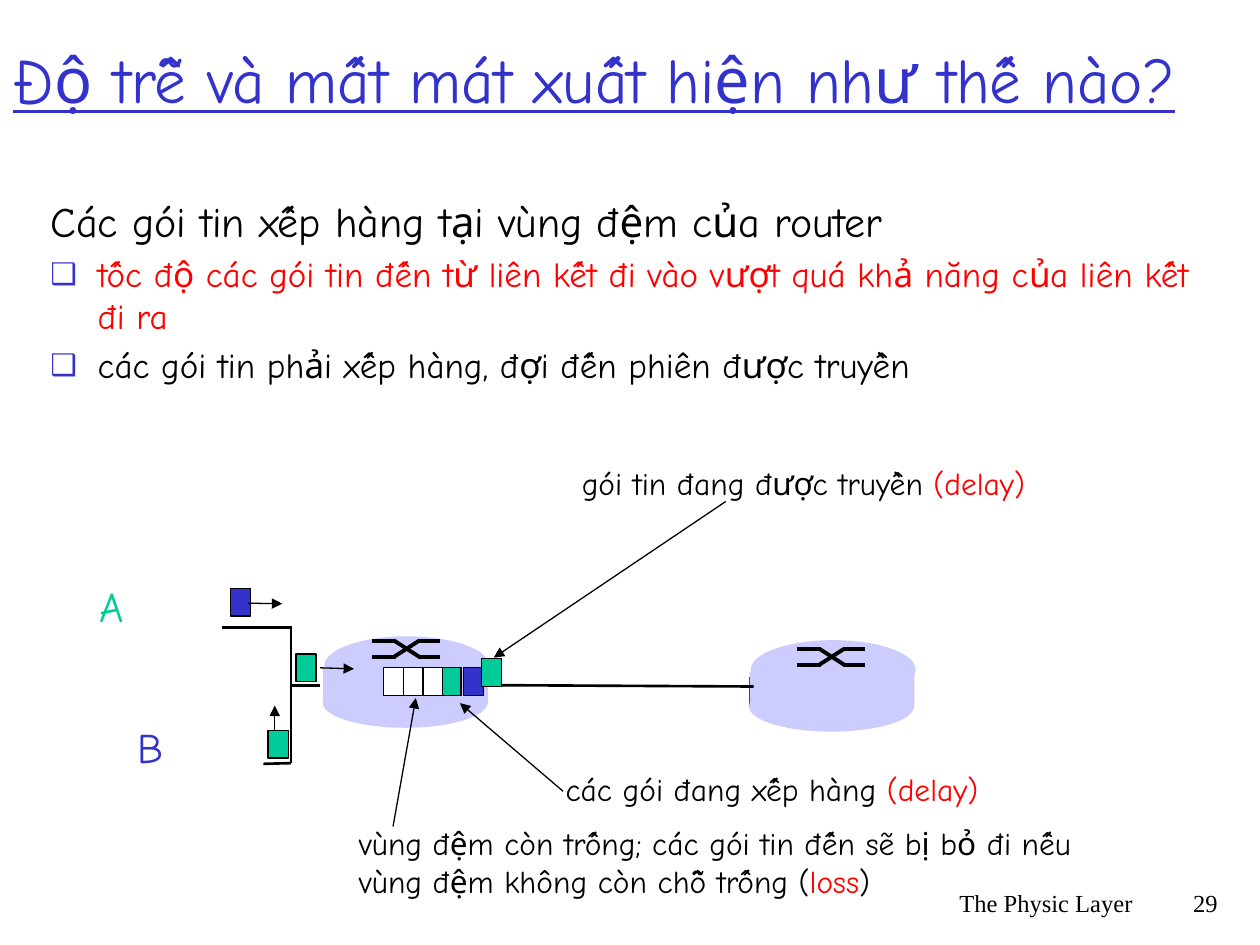
"""Build a slide on how packet delay and loss arise in router queues."""
from typing import NamedTuple

from lxml import etree
from pptx import Presentation
from pptx import util as u
from pptx.dml.color import RGBColor
from pptx.enum import shapes, text
from pptx.oxml import ns

BLUE, GREEN, RED = "3333CC", "00CC99", "FF0000"
BLACK, WHITE, LILAC = "000000", "FFFFFF", "CCCCFF"
COMIC, TIMES = "Comic Neue", "Times New Roman"
RECT, OVAL = shapes.MSO_SHAPE.RECTANGLE, shapes.MSO_SHAPE.OVAL
LEFT, RIGHT = text.PP_ALIGN.LEFT, text.PP_ALIGN.RIGHT


class Box(NamedTuple):
    x: float
    y: float
    w: float
    h: float


class Line(NamedTuple):
    x1: float
    y1: float
    x2: float
    y2: float


class Packet(NamedTuple):
    x: float
    y: float
    color: str


class Router(NamedTuple):
    x: float
    y: float
    cross_x: float
    cross_y: float


class Label(NamedTuple):
    box: Box
    runs: list
    size: float = 18
    font: str = COMIC
    align: int = LEFT
    wrap: bool = False


class Item(NamedTuple):
    words: str
    color: str
    size: float
    bullet: bool


ROUTERS = [Router(184.3, 363.6, 212.4, 366.2), Router(428, 365.8, 455.3, 370.8)]
LINKS = [
    Line(126.7, 358.6, 166.3, 358.6),
    Line(150.5, 436.5, 166.3, 436.1),
    Line(277.9, 391.5, 430.6, 392.3),
    Line(166.3, 357.8, 166.3, 436.3),
    Line(167, 391.7, 182.9, 391.7),
]
QUEUE_Y = 381.6
PACKETS = [
    Packet(252, QUEUE_Y, GREEN),
    Packet(264.7, QUEUE_Y, BLUE),
    Packet(169.2, 373.7, GREEN),
    Packet(275, 376.4, GREEN),
    Packet(131.8, 336.2, BLUE),
    Packet(153.2, 417.4, GREEN),
    *(Packet(x, QUEUE_Y, WHITE) for x in (241.4, 230.2, 219)),
]
ARROWS = [
    Line(182.9, 381.6, 202.3, 382.2),
    Line(157, 417.6, 157, 403.2),
    Line(141.8, 344.7, 161.3, 345),
    Line(414.7, 286.6, 282.2, 375.8),
    Line(321.8, 452.2, 262.8, 401.8),
    Line(224.6, 472.3, 237.6, 398.9),
]
LABELS = [
    Label(Box(426.2, 504, 228.2, 36), [("The Physic Layer", BLACK)], 14, TIMES, RIGHT, True),
    Label(Box(653.8, 504, 49, 36), [("29", BLACK)], 14, TIMES, RIGHT, True),
    Label(Box(49.7, 328.3, 31.7, 36), [("A", GREEN)], 24),
    Label(Box(71.3, 409, 29.5, 36), [("B", BLUE)], 24),
    Label(Box(325.4, 261.4, 281.5, 28.8),
          [("gói tin đang được truyền ", BLACK), ("(delay)", RED)]),
    Label(Box(316.1, 436.3, 258.5, 28.8),
          [("các gói đang xếp hàng", BLACK), (" (delay)", RED)]),
    Label(Box(198, 467.3, 439.2, 50.4),
          [("vùng đệm còn trống; các gói tin đến sẽ bị bỏ đi nếu \n"
            "vùng đệm không còn chỗ trống (", BLACK), ("loss", RED), (")", BLACK)]),
]
ITEMS = [
    Item("Các gói tin xếp hàng tại vùng đệm của router", BLACK, 24, False),
    Item("tốc độ các gói tin đến từ liên kết đi vào vượt quá khả năng của liên kết đi ra",
         RED, 20, True),
    Item("các gói tin phải xếp hàng, đợi đến phiên được truyền", BLACK, 20, True),
]


def rgb(value: str) -> RGBColor:
    return RGBColor.from_string(value)


def pts(values) -> list:
    return [u.Pt(v) for v in values]


def write(p, words: str, *, size: float, color: str, font: str = COMIC,
          underline: bool = False, align: int = LEFT) -> None:
    p.alignment = align
    for i, part in enumerate(words.split("\n")):
        if i:
            p.add_line_break()
        r = p.add_run()
        r.text = part
        r.font.size, r.font.name = u.Pt(size), font
        r.font.color.rgb = rgb(color)
        r.font.underline = underline


def add_bullet(p, bullet: bool) -> None:
    pPr = p._p.get_or_add_pPr()
    pPr.set("marL", str(u.Pt(27)))
    pPr.set("indent", str(-u.Pt(27)))
    if not bullet:
        etree.SubElement(pPr, ns.qn("a:buNone"))
        return
    clr = etree.SubElement(pPr, ns.qn("a:buClr"))
    etree.SubElement(clr, ns.qn("a:srgbClr"), val=BLUE)
    etree.SubElement(pPr, ns.qn("a:buSzPct"), val="85000")
    etree.SubElement(pPr, ns.qn("a:buChar"), char="❑")


def add_block(s, kind: int, box: Box, fill: str, outline: bool = False) -> None:
    sp = s.shapes.add_shape(kind, *pts(box))
    sp.shadow.inherit = False
    sp.fill.solid()
    sp.fill.fore_color.rgb = rgb(fill)
    if outline:
        sp.line.color.rgb, sp.line.width = rgb(BLACK), u.Pt(0.75)
    else:
        sp.line.fill.background()


def add_line(s, line: Line, width: float, arrow: bool = False) -> None:
    sp = s.shapes.add_connector(shapes.MSO_CONNECTOR.STRAIGHT, *pts(line))
    sp.line.color.rgb, sp.line.width = rgb(BLACK), u.Pt(width)
    if arrow:
        etree.SubElement(sp.line._get_or_add_ln(), ns.qn("a:tailEnd"), type="triangle")
    etree.SubElement(sp._element.spPr, ns.qn("a:effectLst"))


def add_router(s, router: Router) -> None:
    x, y, cx, cy = router
    add_block(s, OVAL, Box(x, y + 23.5, 94.3, 28.8), LILAC)
    add_block(s, RECT, Box(x + 0.3, y + 18, 94.3, 20.9), LILAC)
    add_block(s, OVAL, Box(x + 1, y, 94.3, 33.8), LILAC)
    for start, end in ((0, 9), (9, 0)):
        add_line(s, Line(cx, cy + start, cx + 14, cy + start), 2.25)
        add_line(s, Line(cx + 13, cy + start, cx + 27, cy + end), 2.25)
        add_line(s, Line(cx + 26.6, cy + end, cx + 39, cy + end), 2.25)


def add_label(s, label: Label) -> None:
    tf = s.shapes.add_textbox(*pts(label.box)).text_frame
    tf.word_wrap = label.wrap
    if not label.wrap:
        tf.auto_size = text.MSO_AUTO_SIZE.SHAPE_TO_FIT_TEXT
    for words, color in label.runs:
        write(tf.paragraphs[0], words, size=label.size, color=color,
              font=label.font, align=label.align)


def fill_placeholders(s) -> None:
    title, body = s.placeholders
    for sp, box in ((title, Box(0, 0, 720, 90)), (body, Box(21.6, 108, 665.3, 166.3))):
        sp.left, sp.top, sp.width, sp.height = pts(box)
        sp.text_frame.auto_size = text.MSO_AUTO_SIZE.NONE
    title.text_frame.vertical_anchor = text.MSO_ANCHOR.MIDDLE
    write(title.text_frame.paragraphs[0], "Độ trễ và mất mát xuất hiện như thế nào?",
          size=36, color=BLUE, underline=True)
    tf = body.text_frame
    for i, item in enumerate(ITEMS):
        p = tf.add_paragraph() if i else tf.paragraphs[0]
        p.space_before = u.Pt(4 if i else 0)
        add_bullet(p, item.bullet)
        write(p, item.words, size=item.size, color=item.color)


def main() -> None:
    prs = Presentation()
    prs.slide_width, prs.slide_height = u.Pt(720), u.Pt(540)
    s = prs.slides.add_slide(prs.slide_layouts[1])
    fill_placeholders(s)
    add_line(s, Line(428.4, 386.6, 428.4, 404.6), 1)
    for router in ROUTERS:
        add_router(s, router)
    for link in LINKS:
        add_line(s, link, 1.5)
    for x, y, color in PACKETS:
        add_block(s, RECT, Box(x, y, 11.5, 15.8), color, outline=True)
    for arrow in ARROWS:
        add_line(s, arrow, 0.75, arrow=True)
    for label in LABELS:
        add_label(s, label)
    prs.save("out.pptx")


if __name__ == "__main__":
    main()
